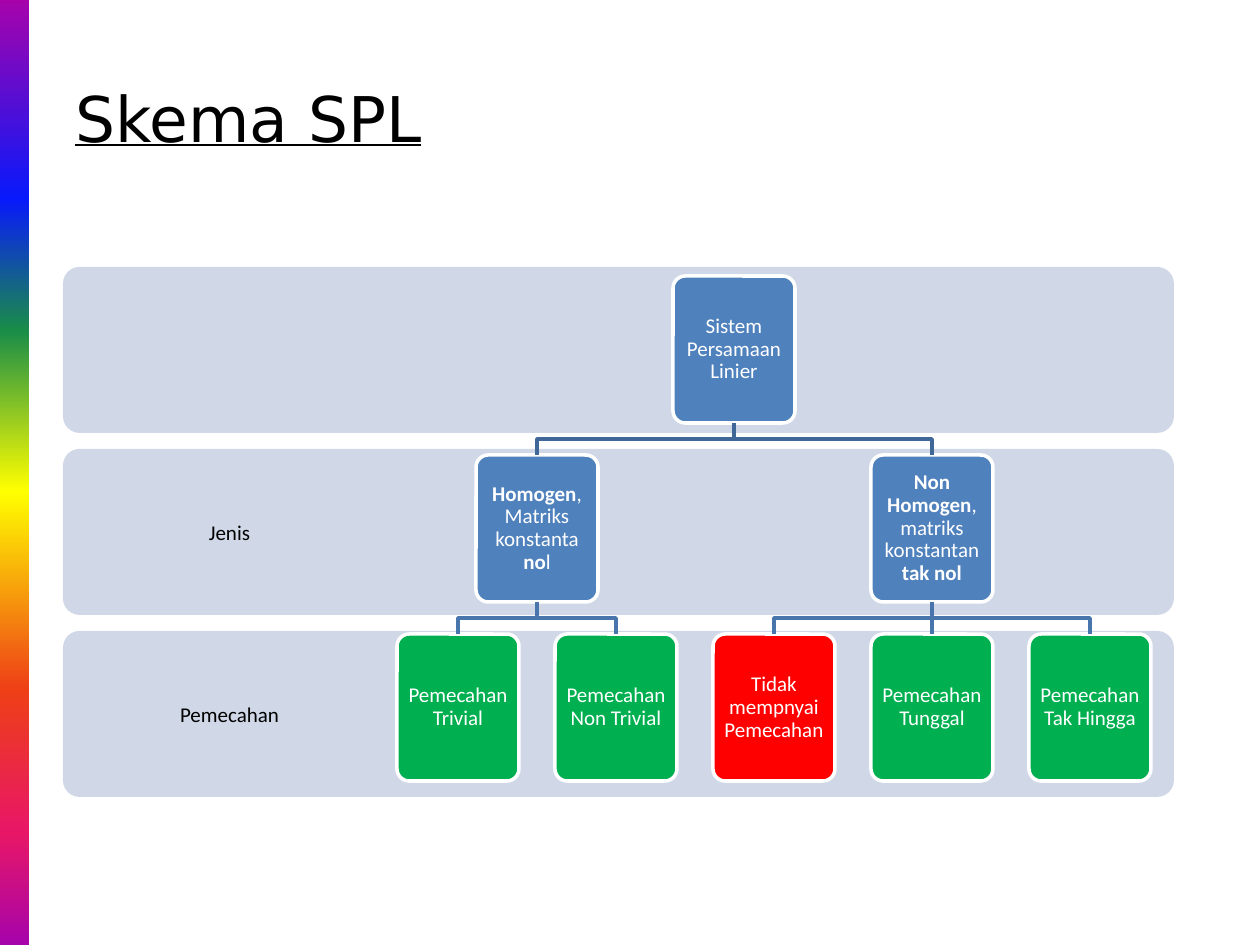
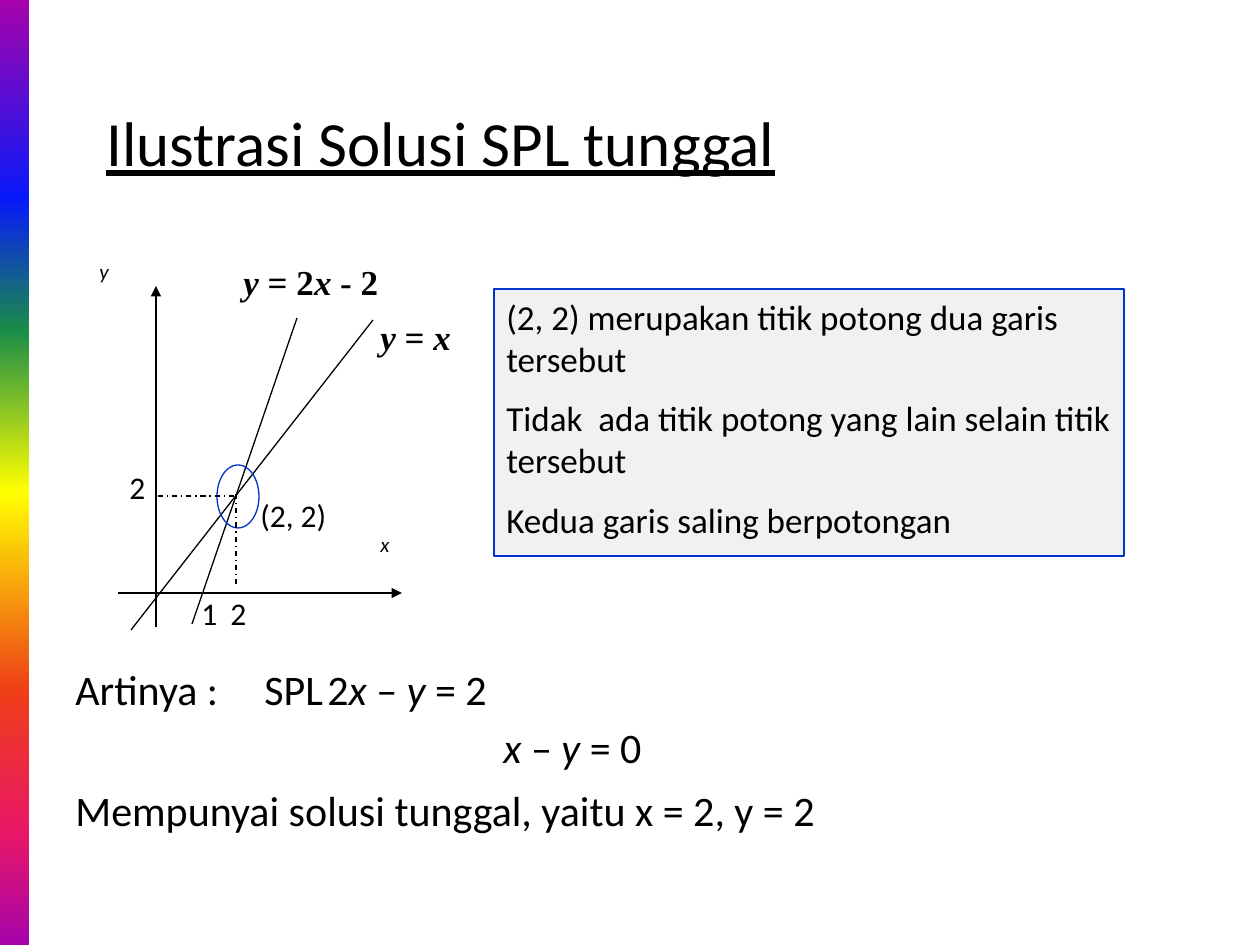
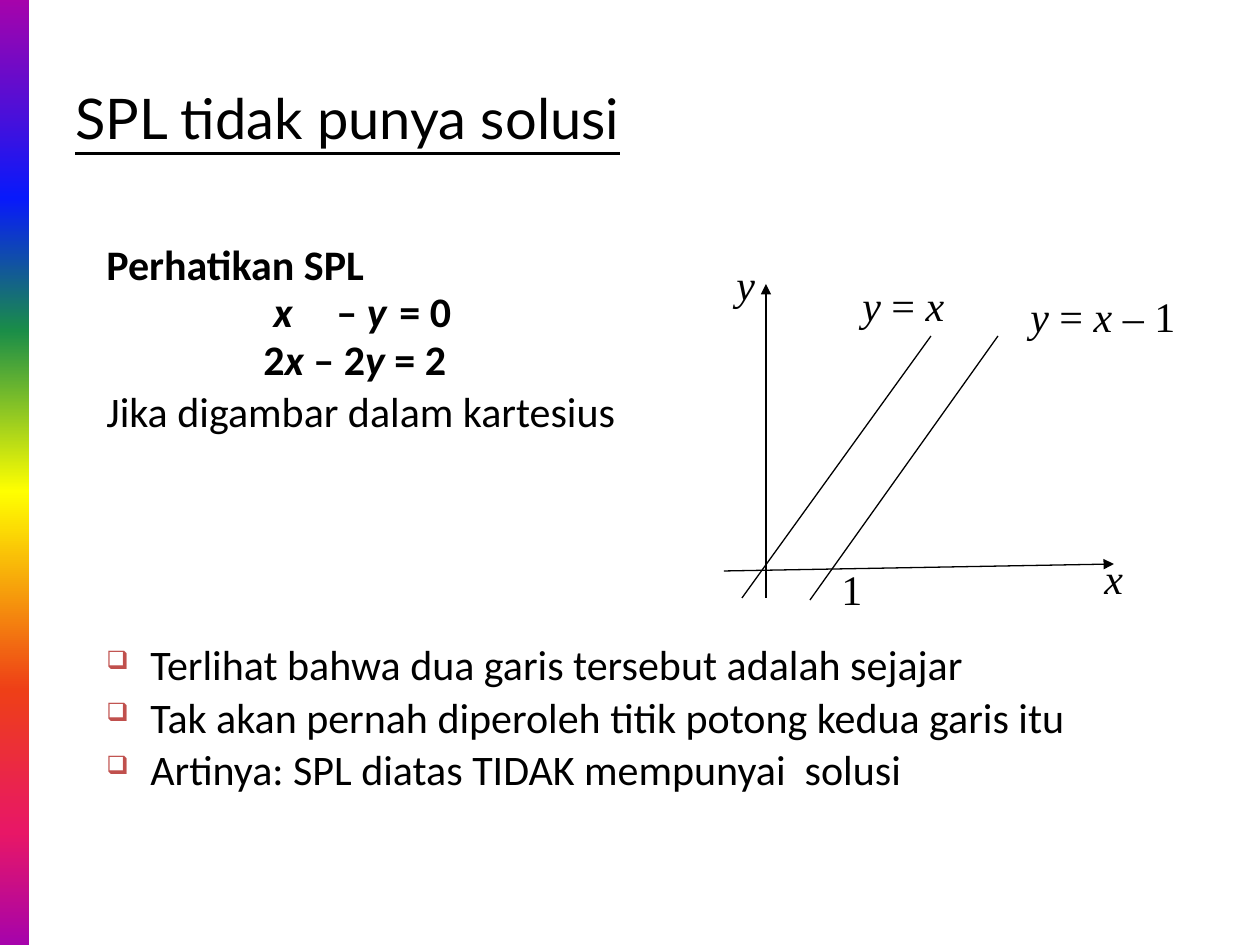
"""Build three slides on systems of linear equations (SPL)."""
from lxml import etree
from pptx import Presentation
from pptx.dml.color import RGBColor
from pptx.enum.dml import MSO_LINE
from pptx.enum.shapes import MSO_CONNECTOR, MSO_SHAPE
from pptx.enum.text import MSO_ANCHOR, PP_ALIGN
from pptx.oxml.ns import qn
from pptx.util import Emu, Pt

PX = 914400 / 126
STRAIGHT = MSO_CONNECTOR.STRAIGHT
RECT, ROUNDED, OVAL = MSO_SHAPE.RECTANGLE, MSO_SHAPE.ROUNDED_RECTANGLE, MSO_SHAPE.OVAL
DASH_DOT = MSO_LINE.DASH_DOT
TOP, MIDDLE = MSO_ANCHOR.TOP, MSO_ANCHOR.MIDDLE
LEFT, CENTER = PP_ALIGN.LEFT, PP_ALIGN.CENTER

BODY, SERIF = "Calibri", "Times New Roman"
BLACK, WHITE = "000000", "FFFFFF"
BAND, BLUE, GREEN, RED = "D0D8E8", "4F81BD", "00B050", "FF0000"
UPPER_LINK, LOWER_LINK = "3F6797", "4875AC"
ACCENT, PANEL, BULLET = "0033CC", "DDDDDD", "C0504D"
RAINBOW = [(0, "A603AB"), (21, "0819FB"), (35, "1A8D48"), (52, "FFFF00"),
           (73, "EE3F17"), (88, "E81766"), (100, "A603AB")]

TREE_LEFT, TREE_TOP = 397, 276
COLUMN_STEP, ROW_STEP = 158, 179
NODE_WIDTH, NODE_HEIGHT = 122, 147


def px(length):
    """Turn px into EMU."""
    return Emu(round(length * PX))


def rgb(color):
    """Turn a hex string into a colour."""
    return RGBColor.from_string(color)


def add_child(parent, tag, **attributes):
    """Append a drawing element with attributes."""
    return etree.SubElement(parent, qn(tag), attributes)


def write(frame, lines, size, color=BLACK, font=BODY, align=LEFT, gaps=None, spacing=None):
    """Write lines, where *...* is bold and _..._ is italic."""
    frame.word_wrap = True
    for index, line in enumerate(lines):
        paragraph = frame.add_paragraph() if index else frame.paragraphs[0]
        paragraph.alignment = align
        if gaps and index:
            paragraph.space_before = Pt(gaps[index - 1])
        if spacing:
            paragraph.line_spacing = spacing
        for bold, chunk in enumerate(line.split("*")):
            for italic, piece in enumerate(chunk.split("_")):
                if piece:
                    run = paragraph.add_run()
                    run.text = piece
                    run.font.name, run.font.size = font, Pt(size)
                    run.font.bold, run.font.italic = bold % 2 == 1, italic % 2 == 1
                    run.font.color.rgb = rgb(color)


def text_box(slide, box, lines, size, anchor=TOP, **style):
    """Add a wrapping text box and return its frame."""
    frame = slide.shapes.add_textbox(*map(px, box)).text_frame
    frame.vertical_anchor = anchor
    write(frame, lines, size, **style)
    return frame


def outline(shape, kind_line, color, width):
    """Set the colour and width of a line."""
    kind_line.color.rgb = rgb(color)
    kind_line.width = Pt(width)
    return shape


def panel(slide, kind, box, fill=None, border=None, width=0.75):
    """Add a preset shape with a plain fill and border."""
    shape = slide.shapes.add_shape(kind, *map(px, box))
    shape.shadow.inherit = False
    if kind == ROUNDED:
        shape.adjustments[0] = 0.1
    if fill:
        shape.fill.solid()
        shape.fill.fore_color.rgb = rgb(fill)
    else:
        shape.fill.background()
    if border:
        outline(shape, shape.line, border, width)
    else:
        shape.line.fill.background()
    return shape


def line(slide, start, end, color=BLACK, width=0.75, dash=None, arrow=False):
    """Add a straight line, with an arrowhead if asked."""
    connector = slide.shapes.add_connector(STRAIGHT, *map(px, (*start, *end)))
    outline(connector, connector.line, color, width)
    if dash:
        connector.line.dash_style = dash
    if arrow:
        add_child(connector.line._get_or_add_ln(), "a:tailEnd", type="triangle")
    add_child(connector._element.spPr, "a:effectLst")
    return connector


def set_indent(paragraph, margin, first=0, tabs=()):
    """Indent a paragraph and place its tab stops."""
    properties = paragraph._p.get_or_add_pPr()
    properties.set("marL", str(px(margin)))
    properties.set("indent", str(px(first)))
    if tabs:
        stops = add_child(properties, "a:tabLst")
        for stop in tabs:
            add_child(stops, "a:tab", pos=str(px(stop)), algn="l")


def set_bullet(paragraph):
    """Give a paragraph a small red box bullet."""
    set_indent(paragraph, 44, -44)
    properties = paragraph._p.get_or_add_pPr()
    add_child(add_child(properties, "a:buClr"), "a:srgbClr", val=BULLET)
    add_child(properties, "a:buSzPct", val="60000")
    add_child(properties, "a:buChar", char="❑")


def new_slide(deck, title, box=(63, 38, 1134, 158), size=36, font=BODY):
    """Add a slide with the rainbow strip and an underlined title."""
    slide = deck.slides.add_slide(deck.slide_layouts[6])
    strip = panel(slide, RECT, (0, 0, 29, 945))
    strip.fill.gradient()
    strip.fill.gradient_angle = 270
    stops = strip._element.spPr.find(qn("a:gradFill")).find(qn("a:gsLst"))
    for stop in list(stops):
        stops.remove(stop)
    for percent, color in RAINBOW:
        add_child(add_child(stops, "a:gs", pos=str(percent * 1000)), "a:srgbClr", val=color)
    heading = text_box(slide, box, [title], size, anchor=MIDDLE, font=font)
    heading.paragraphs[0].runs[0].font.underline = True
    return slide


def tree_node(slide, column, row, label, fill):
    """Add a tree node at a column and row."""
    box = (TREE_LEFT + int(column * COLUMN_STEP), TREE_TOP + row * ROW_STEP,
           NODE_WIDTH, NODE_HEIGHT)
    node = panel(slide, ROUNDED, box, fill, WHITE, 2)
    frame = node.text_frame
    frame.margin_left = frame.margin_right = frame.margin_top = frame.margin_bottom = px(6)
    frame.vertical_anchor = MIDDLE
    write(frame, [label], 12, WHITE, align=CENTER, spacing=0.9)
    return node


def tree_link(slide, parent, child, color):
    """Link a parent's bottom to a child's top."""
    start_x, start_y = parent.left + parent.width // 2, parent.top + parent.height
    end_x, end_y = child.left + child.width // 2, child.top
    if start_x == end_x:
        link = line(slide, (0, 0), (0, 0), color, 2)
        link.begin_connect(parent, 2)
        link.end_connect(child, 0)
        return
    middle = (start_y + end_y) // 2
    builder = slide.shapes.build_freeform(start_x, start_y)
    builder.add_line_segments([(start_x, middle), (end_x, middle), (end_x, end_y)], close=False)
    link = builder.convert_to_shape()
    link.shadow.inherit = False
    link.fill.background()
    outline(link, link.line, color, 2)


def scheme_slide(deck):
    """Show the kinds of SPL and their solutions as a tree."""
    slide = new_slide(deck, "Skema SPL", font="DejaVu Sans")
    for row, label in enumerate(["", "Jenis", "Pemecahan"]):
        top = 267 + row * 182
        panel(slide, ROUNDED, (63, top, 1111, 166), BAND)
        if label:
            text_box(slide, (63, top, 333, 166), [label], 12, MIDDLE, align=CENTER)
    system = tree_node(slide, 1.75, 0, "Sistem Persamaan Linier", BLUE)
    branches = [
        (0.5, "*Homogen*, Matriks konstanta *no*l",
         [(0, "Pemecahan Trivial", GREEN), (1, "Pemecahan Non Trivial", GREEN)]),
        (3, "*Non Homogen*, matriks konstantan *tak nol*",
         [(2, "Tidak mempnyai Pemecahan", RED), (3, "Pemecahan Tunggal", GREEN),
          (4, "Pemecahan Tak Hingga", GREEN)]),
    ]
    for column, label, solutions in branches:
        branch = tree_node(slide, column, 1, label, BLUE)
        tree_link(slide, system, branch, UPPER_LINK)
        for solution_column, solution, fill in solutions:
            leaf = tree_node(slide, solution_column, 2, solution, fill)
            tree_link(slide, branch, leaf, LOWER_LINK)


def single_solution_slide(deck):
    """Show two crossing lines and their single solution."""
    slide = new_slide(deck, "Ilustrasi Solusi SPL tunggal", (94, 94, 914, 95))
    meaning = text_box(slide, (63, 657, 1155, 190),
                       ["Artinya :\tSPL\t2_x_ – _y_ = 2", "_x_ – _y_ = 0",
                        "Mempunyai solusi tunggal, yaitu x = 2, y = 2"], 24, gaps=[4.5, 7.5])
    set_indent(meaning.paragraphs[0], 0, tabs=(170, 296))
    set_indent(meaning.paragraphs[1], 428)

    line(slide, (156, 627), (156, 286), arrow=True)
    line(slide, (118, 593), (402, 593), arrow=True)
    line(slide, (373, 320), (131, 630))
    line(slide, (192, 624), (297, 318))
    panel(slide, OVAL, (217, 465, 42, 63), border=ACCENT)
    line(slide, (236, 494), (236, 586), dash=DASH_DOT)
    line(slide, (234, 496), (155, 496), dash=DASH_DOT)
    for left, top, width, label, size, font in [
        (368, 525, 71, "_x_", 12, BODY),
        (87, 252, 71, "_y_", 12, BODY),
        (368, 309, 158, "*_y_ = _x_*", 20, SERIF),
        (231, 254, 189, "*_y_ = 2_x_ - 2*", 20, SERIF),
        (248, 490, 136, "(2, 2)", 18, BODY),
        (189, 588, 42, "1", 18, BODY),
        (218, 588, 42, "2", 18, BODY),
        (117, 462, 42, "2", 18, BODY),
    ]:
        text_box(slide, (left, top, width, 54), [label], size, font=font)

    notes = panel(slide, RECT, (494, 289, 630, 267), PANEL, ACCENT)
    fill_color = notes._element.spPr.find(qn("a:solidFill"))[0]
    add_child(fill_color, "a:alpha", val="40000")
    notes.text_frame.vertical_anchor = TOP
    write(notes.text_frame,
          ["(2, 2) merupakan titik potong dua garis tersebut",
           "Tidak  ada titik potong yang lain selain titik tersebut",
           "Kedua garis saling berpotongan"], 20, gaps=[10, 10])


def no_solution_slide(deck):
    """Show two parallel lines that have no solution."""
    slide = new_slide(deck, "SPL tidak punya solusi", size=32, font="Lato")
    problem = text_box(slide, (94, 242, 600, 210),
                       ["*Perhatikan SPL*", "*_x_\t– _y_\t= 0*", "*2_x_ – 2_y_ = 2*",
                        "Jika digambar dalam kartesius"], 24, gaps=[4, 4, 7], spacing=0.8)
    set_indent(problem.paragraphs[1], 167, tabs=(206, 284))
    set_indent(problem.paragraphs[2], 157)
    findings = text_box(slide, (94, 642, 1081, 170),
                        ["Terlihat bahwa dua garis tersebut adalah sejajar",
                         "Tak akan pernah diperoleh titik potong kedua garis itu",
                         "Artinya: SPL diatas TIDAK mempunyai  solusi"],
                        24, gaps=[7, 7], spacing=0.8)
    for finding in findings.paragraphs:
        set_bullet(finding)

    line(slide, (766, 598), (766, 284), arrow=True)
    line(slide, (724, 571), (1114, 564), arrow=True)
    line(slide, (742, 598), (931, 336))
    line(slide, (810, 600), (998, 336))
    for left, top, width, label in [
        (1092, 546, 73, "_x_"), (724, 252, 73, "_y_"), (850, 273, 136, "_y_ = _x_"),
        (1018, 284, 189, "_y_ = _x_ – 1"), (829, 557, 73, "1"),
    ]:
        text_box(slide, (left, top, width, 63), [label], 24, font=SERIF)


def main():
    """Build and save the deck."""
    deck = Presentation()
    deck.slide_width, deck.slide_height = px(1260), px(945)
    scheme_slide(deck)
    single_solution_slide(deck)
    no_solution_slide(deck)
    deck.save("out.pptx")


if __name__ == "__main__":
    main()
